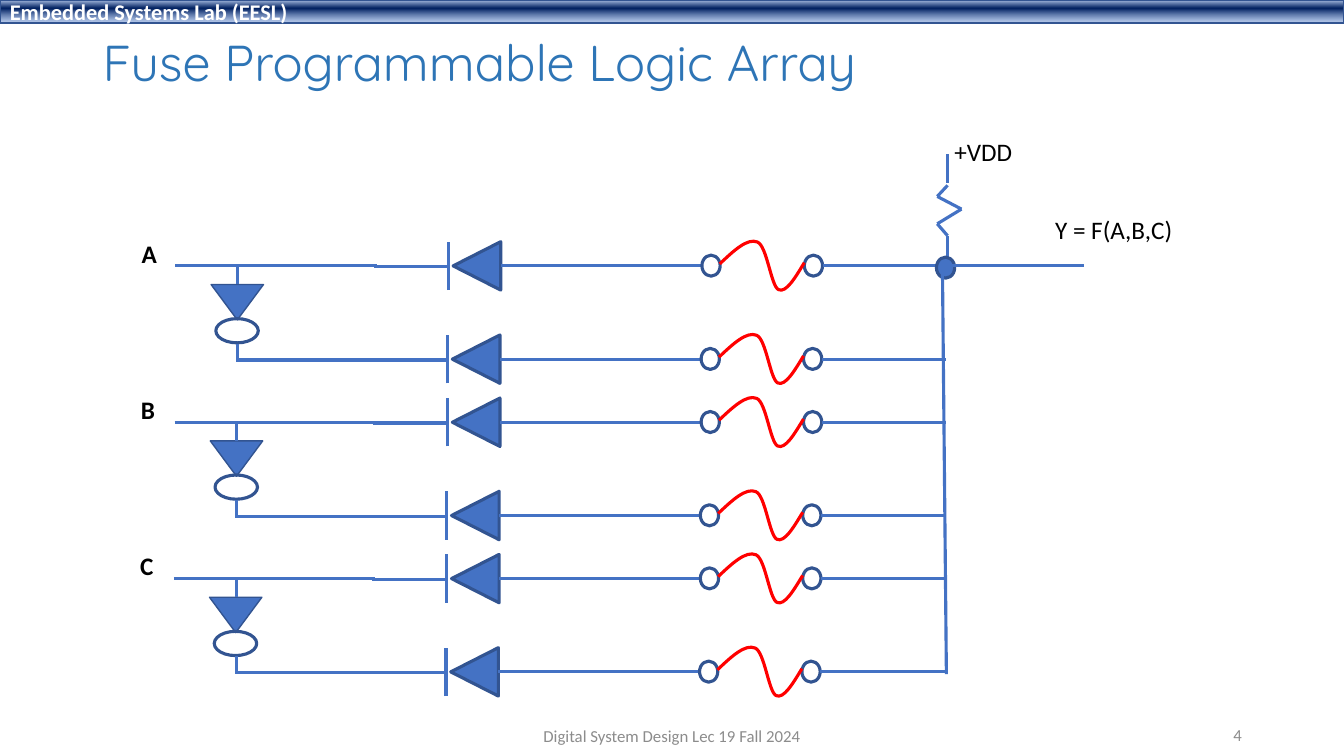
from lxml.etree import SubElement
from pptx import Presentation
from pptx.dml.color import RGBColor
from pptx.enum.shapes import MSO_CONNECTOR, MSO_SHAPE
from pptx.enum.text import MSO_ANCHOR, PP_ALIGN
from pptx.oxml.ns import qn
from pptx.util import Cm, Pt

COLORS = {
    "wire": "4472C4", "outline": "325491", "fuse": "FF0000",
    "title": "2E75B6", "text": "000000", "footer": "8C8C8C", "white": "FFFFFF",
    "bar_top": "ABC0E4", "bar_middle": "002060", "bar_bottom": "7E9ED6",
}

prs = Presentation()
prs.slide_width, prs.slide_height = Cm(33.87), Cm(19.05)
slide = prs.slides.add_slide(prs.slide_layouts[5])
shapes = slide.shapes


def add_wire(x1, y1, x2, y2):
    wire = shapes.add_connector(MSO_CONNECTOR.STRAIGHT, Cm(x1), Cm(y1), Cm(x2), Cm(y2))
    wire.line.color.rgb = RGBColor.from_string(COLORS["wire"])
    wire.line.width = Pt(2.25)
    SubElement(wire._element.spPr, qn("a:effectLst"))


def add_symbol(kind, x, y, width, height, filled=True, rotation=0, weight=2.25):
    symbol = shapes.add_shape(kind, Cm(x), Cm(y), Cm(width), Cm(height))
    symbol.shadow.inherit = False
    symbol.rotation = rotation
    if filled:
        symbol.fill.solid()
        symbol.fill.fore_color.rgb = RGBColor.from_string(COLORS["wire"])
    else:
        symbol.fill.background()
    symbol.line.color.rgb = RGBColor.from_string(COLORS["outline"])
    symbol.line.width = Pt(weight)
    return symbol


# Header bar and title
header = add_symbol(MSO_SHAPE.RECTANGLE, 0, 0, 33.87, 0.58, weight=1)
header.fill.gradient()
header.fill.gradient_angle = 270
stops = header._element.spPr.find(".//" + qn("a:gsLst"))
stops.clear()
for position, color, alpha in [(2, "bar_top", 100), (38, "bar_middle", 100), (93, "bar_bottom", 64)]:
    stop = SubElement(stops, qn("a:gs"), pos=str(position * 1000))
    stop_color = SubElement(stop, qn("a:srgbClr"), val=COLORS[color])
    SubElement(stop_color, qn("a:alpha"), val=str(alpha * 1000))
header_text = header.text_frame
header_text.text = "Embedded Systems Lab (EESL)"
header_text.vertical_anchor = MSO_ANCHOR.MIDDLE
header_text.paragraphs[0].alignment = PP_ALIGN.LEFT
header_font = header_text.paragraphs[0].runs[0].font
header_font.name, header_font.size, header_font.bold = "Calibri", Pt(16), True
header_font.color.rgb = RGBColor.from_string(COLORS["white"])

title = shapes.title
title.left, title.top, title.width, title.height = Cm(2.33), Cm(0.38), Cm(29.21), Cm(2.51)
title.text_frame.text = "Fuse Programmable Logic Array"
title.text_frame.vertical_anchor = MSO_ANCHOR.MIDDLE
heading = title.text_frame.paragraphs[0]
heading.alignment, heading.line_spacing = PP_ALIGN.LEFT, 0.9
heading_font = heading.runs[0].font
heading_font.name, heading_font.size = "Quicksand", Pt(36)
heading_font.color.rgb = RGBColor.from_string(COLORS["title"])

# Pull-up resistor below +VDD
add_wire(23.88, 3.89, 23.88, 4.62)
resistor = [(23.88, 4.67), (23.62, 4.95), (24.23, 5.27),
            (23.62, 5.64), (23.88, 5.94), (23.88, 6.7)]
for start, end in zip(resistor, resistor[1:]):
    add_wire(*start, *end)

# Each input feeds a direct row and an inverted row
FIRST_ROW, INPUT_PITCH, INVERTED_DROP = 6.7, 3.94, 2.35
BUS_X = 23.85
# Bezier points of a fuse, relative to its left end and row; every third lies on the curve
FUSE = [(0, -0.05), (0.35, -0.38), (0.7, -0.71), (0.95, -0.6), (1.19, -0.5),
        (1.29, 0.51), (1.48, 0.6), (1.67, 0.69), (1.9, 0.3), (2.13, -0.08)]
FUSE_TOP = -0.6

labels = [
    ("+VDD", 23.8, 3.3, 1.98, 1.02, 18, False, "text", PP_ALIGN.LEFT),
    ("Y = F(A,B,C)", 26.34, 5.28, 3.5, 1.02, 18, False, "text", PP_ALIGN.LEFT),
    ("4", 23.93, 18.01, 7.62, 1.02, 12, False, "footer", PP_ALIGN.RIGHT),
    ("Digital System Design Lec 19 Fall 2024", 11.22, 18.03, 11.43, 1.02, 12, False,
     "footer", PP_ALIGN.CENTER),
]

for index, input_name in enumerate("ABC"):
    input_y = FIRST_ROW + index * INPUT_PITCH
    drift = -0.02 * index
    branch_x = 5.99 + drift
    labels.append((input_name, 3.32 + drift, input_y - 0.83, 0.89, 1.02, 18, True,
                   "text", PP_ALIGN.LEFT))

    # Inverter between the two rows
    add_symbol(MSO_SHAPE.ISOSCELES_TRIANGLE, branch_x - 0.67, input_y + 0.47, 1.32, 0.89,
               rotation=180, weight=1)
    add_symbol(MSO_SHAPE.OVAL, branch_x - 0.55, input_y + 1.33, 1.07, 0.61, filled=False)
    add_wire(branch_x, input_y, branch_x, input_y + 0.46)
    add_wire(branch_x, input_y + 1.96, branch_x, input_y + 2.41)

    for row_y, x, start_x, start_y in [
            (input_y, drift, 4.42 + drift, input_y),
            (input_y + INVERTED_DROP, drift - 0.02, branch_x, input_y + INVERTED_DROP + 0.02)]:
        # Input lead and diode
        add_wire(start_x, start_y, 9.5 + x, start_y)
        add_wire(11.3 + x, row_y + 0.02, 9.42 + x, row_y + 0.02)
        add_wire(11.3 + x, row_y + 0.61, 11.3 + x, row_y - 0.61)
        add_symbol(MSO_SHAPE.ISOSCELES_TRIANGLE, 11.41 + x, row_y - 0.6, 1.22, 1.2, rotation=270)
        add_wire(14.47 + x, row_y, 12.62 + x, row_y)
        add_wire(14.45 + x, row_y, 17.69 + x, row_y)

        # Fuse between two terminals
        for terminal_x in (17.69, 20.27):
            add_symbol(MSO_SHAPE.OVAL, terminal_x + x, row_y - 0.27, 0.46, 0.53, filled=False)
        anchors = [(Cm(18.14 + x + dx), Cm(row_y + dy)) for dx, dy in FUSE[::3]]
        outline = shapes.build_freeform(*anchors[0])
        outline.add_line_segments(anchors[1:], close=False)
        fuse = outline.convert_to_shape()
        for part, segment in enumerate(fuse._element.spPr.findall(".//" + qn("a:lnTo"))):
            segment.tag = qn("a:cubicBezTo")
            segment.clear()
            for dx, dy in FUSE[3 * part + 1:3 * part + 4]:
                SubElement(segment, qn("a:pt"), x=str(Cm(dx)), y=str(Cm(dy - FUSE_TOP)))
        fuse.shadow.inherit = False
        fuse.fill.background()
        fuse.line.color.rgb = RGBColor.from_string(COLORS["fuse"])
        fuse.line.width = Pt(2.25)
        add_wire(20.73 + x, row_y, BUS_X, row_y)

# Output node, shared bus and output wire
add_symbol(MSO_SHAPE.OVAL, 23.6, 6.48, 0.46, 0.53)
add_wire(23.75, FIRST_ROW, BUS_X, 16.99)
add_wire(BUS_X, FIRST_ROW, 27.33, FIRST_ROW)

for words, x, y, width, height, size, bold, color, alignment in labels:
    label = shapes.add_textbox(Cm(x), Cm(y), Cm(width), Cm(height))
    label_text = label.text_frame
    label_text.text = words
    label_text.word_wrap = color == "footer"
    if color == "footer":
        label_text.vertical_anchor = MSO_ANCHOR.MIDDLE
    label_text.paragraphs[0].alignment = alignment
    font = label_text.paragraphs[0].runs[0].font
    font.name, font.size, font.bold = "Calibri", Pt(size), bold
    font.color.rgb = RGBColor.from_string(COLORS[color])

prs.save("out.pptx")
